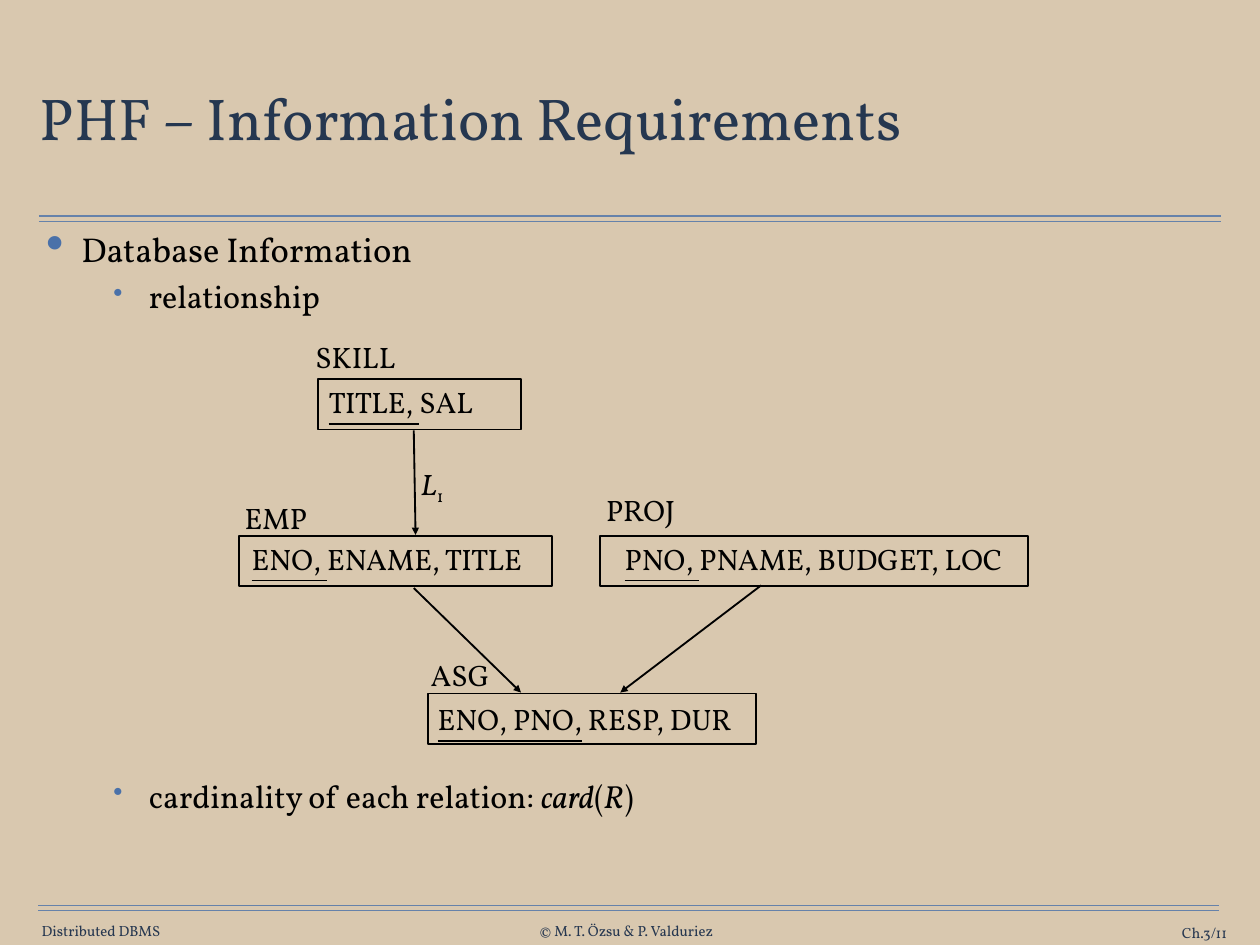
"""Build the slide on the information requirements of PHF."""
from dataclasses import dataclass

from lxml import etree
from pptx import Presentation
from pptx.dml.color import RGBColor
from pptx.enum import shapes, text
from pptx.oxml import ns
from pptx.util import Inches, Pt


@dataclass(frozen=True)
class Theme:
    font: str = "Vollkorn"
    background: str = "D9C8AF"
    heading: str = "253750"
    footer: str = "263750"
    ink: str = "000000"
    rule: str = "6682AA"
    bullet: str = "4A71A9"
    title_size: int = 48
    topic_size: int = 28
    point_size: int = 26
    diagram_size: int = 24
    footer_size: int = 12
    rule_width: float = 1
    diagram_width: float = 1.5


THEME = Theme()
LEFT, RIGHT, CENTER = text.PP_ALIGN.LEFT, text.PP_ALIGN.RIGHT, text.PP_ALIGN.CENTER
LABEL_HEIGHT, BOX_HEIGHT = 0.54, 0.57

# name, name position, box (left, top, width), key, other attributes, attribute frame, alignment
RELATIONS = [
    ("SKILL", (3.42, 3.76, 1.23), (3.59, 4.28, 2.29), "TITLE, ", "SAL", (3.57, 4.27, 2.03), LEFT),
    ("EMP", (2.62, 5.57, 1.01), (2.7, 6.05, 3.53), "ENO, ", "ENAME, TITLE", (2.7, 6.04, 3.58), LEFT),
    ("PROJ", (6.7, 5.49, 1.09), (6.77, 6.05, 4.83), "PNO, ", "PNAME, BUDGET, LOC",
     (6.76, 6.04, 4.84), CENTER),
    ("ASG", (4.72, 7.35, 0.98), (4.83, 7.83, 3.7), "ENO, PNO,", " RESP, DUR", (4.8, 7.85, 3.8), LEFT),
]
LINKS = [
    ((4.67, 4.86), (4.69, 6.04)),
    ((4.67, 6.64), (5.88, 7.82)),
    ((8.59, 6.61), (7, 7.82)),
]
FOOTERS = [
    ("Distributed DBMS", (0.47, 10.41, 1.38), LEFT),
    ("© M. T. Özsu & P. Valduriez", (6.09, 10.41, 2.08), LEFT),
    ("Ch.3/11", (12.31, 10.43, 1.54), RIGHT),
]


def add_frame(slide, left, top, width, height, inset_x, inset_y, anchor=text.MSO_ANCHOR.TOP):
    """Add a wrapping text box and return its text frame."""
    frame = slide.shapes.add_textbox(*map(Inches, (left, top, width, height))).text_frame
    frame.word_wrap = True
    frame.vertical_anchor = anchor
    frame.margin_left = frame.margin_right = Inches(inset_x)
    frame.margin_top = frame.margin_bottom = Inches(inset_y)
    return frame


def write(paragraph, pieces, size, color=THEME.ink, align=LEFT):
    """Fill a paragraph with (words, style) pieces."""
    paragraph.alignment = align
    for words, style in pieces:
        run = paragraph.add_run()
        run.text = words
        run.font.name = THEME.font
        run.font.size = Pt(size)
        run.font.color.rgb = RGBColor.from_string(color)
        run.font.italic = style == "italic"
        run.font.underline = style == "underline"
        if style == "subscript":
            run.font._element.set("baseline", "-25000")


def add_label(slide, position, pieces, align=LEFT):
    """Add one line of diagram text."""
    frame = add_frame(slide, *position, LABEL_HEIGHT, 0.14, 0.07)
    write(frame.paragraphs[0], pieces, THEME.diagram_size, align=align)


def add_line(slide, start, end, color, width, arrow=False):
    """Draw a straight line, with an arrowhead at its end if asked."""
    line = slide.shapes.add_connector(
        shapes.MSO_CONNECTOR.STRAIGHT, *map(Inches, (*start, *end)))
    line.line.color.rgb = RGBColor.from_string(color)
    line.line.width = Pt(width)
    if arrow:
        etree.SubElement(line.line._get_or_add_ln(), ns.qn("a:tailEnd"), type="triangle")
    etree.SubElement(line._element.spPr, ns.qn("a:effectLst"))


def add_double_rule(slide, left, top, width):
    """Draw two parallel rules across the slide."""
    for y in (top, top + 0.06):
        add_line(slide, (left, y), (left + width, y), THEME.rule, THEME.rule_width)


def add_relation(slide, name, name_position, box, key, others, attribute_position, align):
    """Draw a relation with its name and its attributes, the key underlined."""
    outline = slide.shapes.add_shape(
        shapes.MSO_SHAPE.RECTANGLE, *map(Inches, (*box, BOX_HEIGHT)))
    outline.shadow.inherit = False
    outline.fill.background()
    outline.line.color.rgb = RGBColor.from_string(THEME.ink)
    outline.line.width = Pt(THEME.diagram_width)
    add_label(slide, name_position, [(name, "")])
    add_label(slide, attribute_position, [(key, "underline"), (others, "")], align)


def write_bullet(paragraph, pieces, size, level, indent, bullet_percent, space_before=12):
    """Write a bulleted paragraph with a hanging indent."""
    write(paragraph, pieces, size)
    paragraph.level = level
    paragraph.line_spacing = 0.8
    paragraph.space_before = Pt(space_before)
    properties = paragraph._p.get_or_add_pPr()
    properties.set("marL", str(Inches(indent)))
    properties.set("indent", str(Inches(-0.4)))
    bullet_color = etree.SubElement(properties, ns.qn("a:buClr"))
    etree.SubElement(bullet_color, ns.qn("a:srgbClr"), val=THEME.bullet)
    etree.SubElement(properties, ns.qn("a:buSzPct"), val=str(bullet_percent * 1000))
    etree.SubElement(properties, ns.qn("a:buChar"), char="•")


def add_title(slide, words):
    """Add the slide title."""
    frame = add_frame(slide, 0.39, 0.49, 13.44, 1.76, 0.06, 0.06, text.MSO_ANCHOR.MIDDLE)
    write(frame.paragraphs[0], [(words, "")], THEME.title_size, THEME.heading)
    frame.paragraphs[0].line_spacing = 0.9


def add_outline(slide):
    """Add the bulleted points, leaving room for the diagram."""
    frame = add_frame(slide, 0.46, 2.61, 11.14, 7.29, 0.06, 0.06)
    write_bullet(frame.paragraphs[0], [("Database Information", "")], THEME.topic_size, 0, 0.4, 150)
    write_bullet(frame.add_paragraph(), [("relationship", "")], THEME.point_size, 1, 1.16, 85)
    cardinality = [("cardinality of each relation: ", ""), ("card", "italic"), ("(", ""),
                   ("R", "italic"), (")", "")]
    write_bullet(frame.add_paragraph(), cardinality, THEME.point_size, 1, 1.16, 85, 381)


def add_footer(slide, words, position, align):
    """Add one footer entry."""
    frame = add_frame(slide, *position, 0.2, 0, 0, text.MSO_ANCHOR.MIDDLE)
    write(frame.paragraphs[0], [(words, "")], THEME.footer_size, THEME.footer, align)


def main():
    """Build and save the slide."""
    deck = Presentation()
    deck.slide_width, deck.slide_height = Inches(14.22), Inches(10.67)
    slide = deck.slides.add_slide(deck.slide_layouts[6])
    slide.background.fill.solid()
    slide.background.fill.fore_color.rgb = RGBColor.from_string(THEME.background)
    add_double_rule(slide, 0.44, 2.44, 13.34)
    add_double_rule(slide, 0.43, 10.22, 13.33)
    for footer in FOOTERS:
        add_footer(slide, *footer)
    add_title(slide, "PHF – Information Requirements")
    add_outline(slide)
    for relation in RELATIONS:
        add_relation(slide, *relation)
    for start, end in LINKS:
        add_line(slide, start, end, THEME.ink, THEME.diagram_width, arrow=True)
    add_label(slide, (4.61, 5.19, 0.61), [("L", "italic"), ("1", "subscript")])
    deck.save("out.pptx")


if __name__ == "__main__":
    main()
